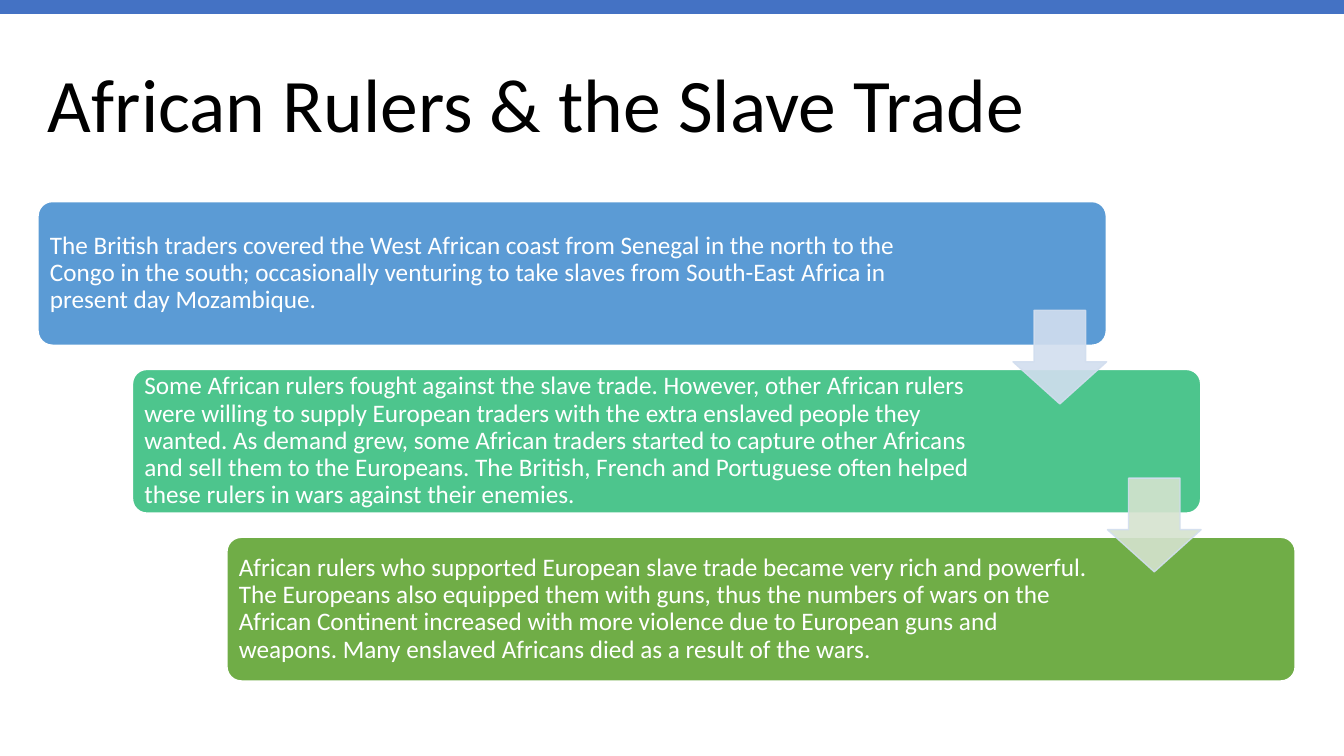
import pptx
import pptx.util
from lxml import etree
from pptx.dml.color import RGBColor
from pptx.enum.shapes import MSO_SHAPE
from pptx.enum.text import MSO_ANCHOR, PP_ALIGN
from pptx.oxml.ns import qn
from pptx.util import Cm, Pt

# Content
BLACK = RGBColor(0x00, 0x00, 0x00)
WHITE = RGBColor(0xFF, 0xFF, 0xFF)
BAR_BLUE = RGBColor(0x44, 0x72, 0xC4)
STEP_BLUE = RGBColor(0x5B, 0x9B, 0xD5)
STEP_TEAL = RGBColor(0x4D, 0xC5, 0x8D)
STEP_GREEN = RGBColor(0x70, 0xAD, 0x47)
PALE_BLUE = RGBColor(0xD2, 0xDE, 0xEF)
PALE_GREEN = RGBColor(0xD5, 0xE3, 0xCF)

TITLE = "African Rulers & the Slave Trade"
# Text, box colour, text width in cm
STEPS = [
    ("The British traders covered the West African coast from Senegal in the "
     "north to the Congo in the south; occasionally venturing to take slaves "
     "from South-East Africa in present day Mozambique.", STEP_BLUE, 23.01),
    ("Some African rulers fought against the slave trade. However, other "
     "African rulers were willing to supply European traders with the extra "
     "enslaved people they wanted. As demand grew, some African traders "
     "started to capture other Africans and sell them to the Europeans. The "
     "British, French and Portuguese often helped these rulers in wars "
     "against their enemies.", STEP_TEAL, 22),
    ("African rulers who supported European slave trade became very rich and "
     "powerful. The Europeans also equipped them with guns, thus the numbers "
     "of wars on the African Continent increased with more violence due to "
     "European guns and weapons. Many enslaved Africans died as a result of "
     "the wars.", STEP_GREEN, 22),
]
ARROW_FILLS = [PALE_BLUE, PALE_GREEN]

# Layout in cm
SLIDE_WIDTH, SLIDE_HEIGHT = 33.87, 19.05
STEP_LEFT, STEP_TOP = 0.96, 5.08
STEP_WIDTH, STEP_HEIGHT = 26.92, 3.62
SHIFT_X, SHIFT_Y = 2.38, 4.23
TEXT_OFFSET = 0.11
ARROW_LEFT, ARROW_TOP, ARROW_SIZE = 25.53, 7.82, 2.36


def add_shape(slide, kind, box, fill, line=None, adjustments=()):
    shape = slide.shapes.add_shape(kind, *map(Cm, box))
    shape.shadow.inherit = False
    shape.fill.solid()
    shape.fill.fore_color.rgb = fill
    if line is None:
        shape.line.fill.background()
    else:
        shape.line.color.rgb = line
        shape.line.width = Pt(1)
    for index, value in enumerate(adjustments):
        shape.adjustments[index] = value
    return shape


def add_text(slide, box, text, size, color, inset=None):
    frame = slide.shapes.add_textbox(*map(Cm, box)).text_frame
    frame.word_wrap = True
    frame.vertical_anchor = MSO_ANCHOR.MIDDLE
    if inset is not None:
        frame.margin_left = frame.margin_right = Cm(inset)
        frame.margin_top = frame.margin_bottom = Cm(inset)
    frame.text = text
    paragraph = frame.paragraphs[0]
    paragraph.alignment = PP_ALIGN.LEFT
    paragraph.line_spacing = 0.9
    font = paragraph.runs[0].font
    font.name, font.size, font.color.rgb = "Calibri", Pt(size), color


def set_opacity(shape, percent):
    for color in shape.element.spPr.iter(qn("a:srgbClr")):
        etree.SubElement(color, qn("a:alpha"), val=str(percent * 1000))


def main():
    presentation = pptx.Presentation()
    presentation.slide_width = Cm(SLIDE_WIDTH)
    presentation.slide_height = Cm(SLIDE_HEIGHT)
    slide = presentation.slides.add_slide(presentation.slide_layouts[6])

    # Title and top bar
    add_text(slide, (0.96, 0.89, 31.7, 3.68), TITLE, 54, BLACK)
    add_shape(slide, MSO_SHAPE.RECTANGLE, (0, 0, SLIDE_WIDTH, 0.35), BAR_BLUE)

    # Staircase of steps
    for index, (text, fill, text_width) in enumerate(STEPS):
        left = STEP_LEFT + index * SHIFT_X
        top = STEP_TOP + index * SHIFT_Y
        add_shape(slide, MSO_SHAPE.ROUNDED_RECTANGLE,
                  (left, top, STEP_WIDTH, STEP_HEIGHT), fill, WHITE, [0.1])
        add_text(slide, (left + TEXT_OFFSET, top + TEXT_OFFSET, text_width,
                         STEP_HEIGHT - 2 * TEXT_OFFSET), text, 18, WHITE, 0.19)

    # Arrows between the steps
    for index, fill in enumerate(ARROW_FILLS):
        box = (ARROW_LEFT + index * SHIFT_X, ARROW_TOP + index * SHIFT_Y,
               ARROW_SIZE, ARROW_SIZE)
        arrow = add_shape(slide, MSO_SHAPE.DOWN_ARROW, box, fill, PALE_BLUE,
                          [0.55, 0.45])
        set_opacity(arrow, 90)

    presentation.save("out.pptx")


if __name__ == "__main__":
    main()
